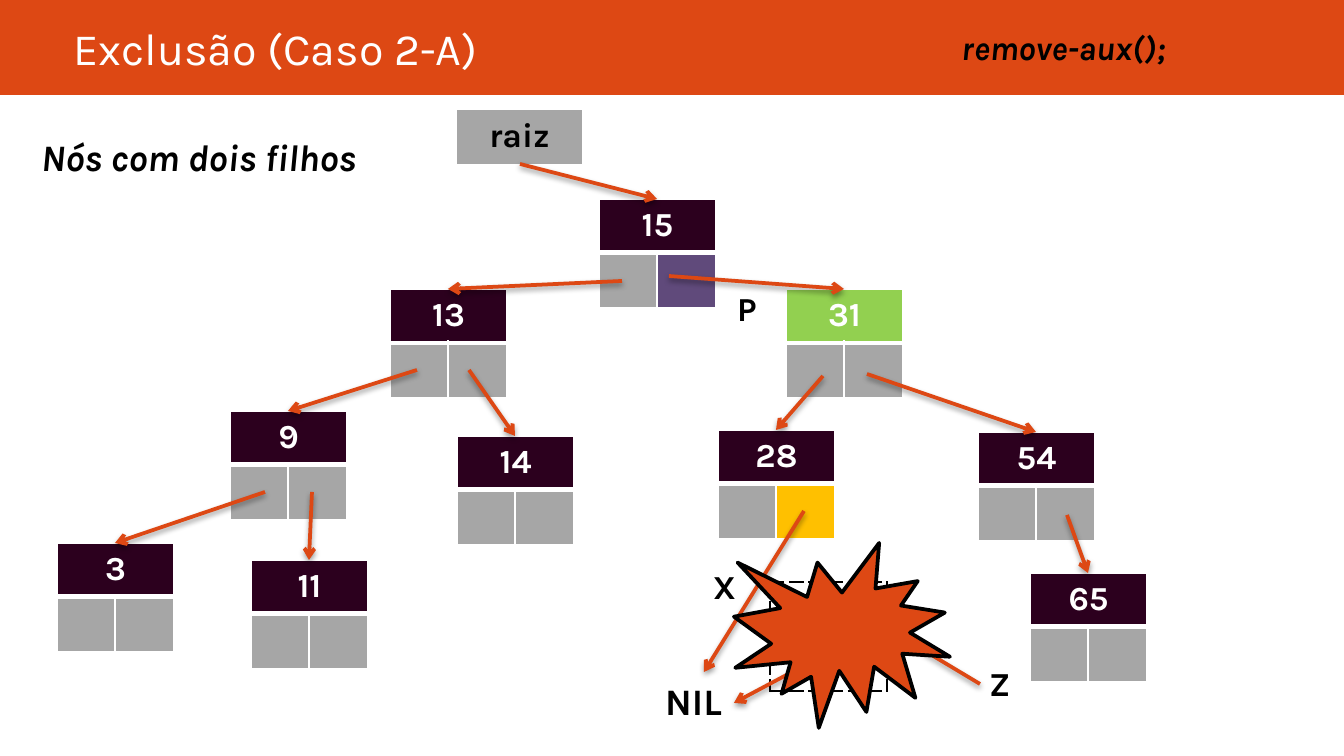
import pptx
import pptx.util
import pptx.dml.color
import pptx.enum.shapes
import pptx.enum.text
import pptx.oxml
import pptx.oxml.ns

Pt = pptx.util.Pt
FONT = "Karla"
COLORS = {"orange": "DD4814", "dark": "2C001E", "gray": "A6A6A6", "green": "92D050",
          "purple": "604A7B", "yellow": "FFC000", "white": "FFFFFF", "black": "000000"}

# Content: lengths in px
W, H = 1344, 756
BAND_H = 95
CELL_W, CELL_H = (58, 59), 54
TITLE = "Exclusão (Caso 2-A)"

# value: (left, top, head, left link, right link)
NODES = {
    "15": (599, 199, "dark", "gray", "purple"),
    "13": (390, 289, "dark", "gray", "gray"),
    "31": (786, 289, "green", "gray", "gray"),
    "9": (230, 411, "dark", "gray", "gray"),
    "14": (457, 436, "dark", "gray", "gray"),
    "28": (718, 430, "dark", "gray", "yellow"),
    "54": (978, 432, "dark", "gray", "gray"),
    "3": (57, 543, "dark", "gray", "gray"),
    "11": (251, 560, "dark", "gray", "gray"),
    "65": (1030, 573, "dark", "gray", "gray"),
}
REMOVED = (770, 582)
ROOT = ("raiz", 457, 110, 125)

# start point, and the node pointed at
LINKS = [
    (520, 164, "15"), (622, 281, "13"), (669, 276, "31"), (417, 370, "9"),
    (469, 370, "14"), (823, 376, "28"), (867, 374, "54"), (265, 492, "3"),
    (312, 492, "11"), (1067, 515, "65"),
]
# arrows that point at no node: start, end
LOOSE_ARROWS = [(804, 511, 704, 672), (794, 671, 734, 703), (980, 684, 863, 614)]

# text, left, top, width, height, size, italic
LABELS = [
    ("Nós com dois filhos", 28, 109, 403, 95, 20, True),
    ("remove-aux();", 948, 20, 351, 54, 18, True),
    ("P", 724, 281, 48, 54, 18, False),
    ("X", 700, 559, 48, 54, 18, False),
    ("NIL", 652, 672, 105, 58, 20, False),
    ("Z", 976, 656, 48, 54, 18, False),
]
SEAL = (734, 543, 216, 185)

NO_STYLE = "{2D5ABB26-0587-4C30-8999-92F81FD0307C}"
NS = pptx.oxml.ns.nsdecls("a")
SHADOW = (f'<a:effectLst {NS}><a:outerShdw blurRad="39370" dist="20320" dir="5400000" '
          'rotWithShape="0"><a:srgbClr val="000000"><a:alpha val="38000"/></a:srgbClr>'
          '</a:outerShdw></a:effectLst>')


def px(n):
    return round(n * 914400 * 10 / W)


def rgb(name):
    return pptx.dml.color.RGBColor.from_string(COLORS[name])


def paint(fill, name):
    fill.solid()
    fill.fore_color.rgb = rgb(name)


def write(tf, text, size, color, bold=True, italic=False, align=None):
    tf.text = text
    p = tf.paragraphs[0]
    p.alignment = align
    font = p.runs[0].font
    font.name, font.size, font.bold, font.italic = FONT, Pt(size), bold, italic
    font.color.rgb = rgb(color)


def border(cell, color, dash="solid", bottom=1):
    tc_pr = cell._tc.get_or_add_tcPr()
    for i, side in enumerate("LRTB"):
        width = Pt(bottom if side == "B" else 1)
        tc_pr.insert(i, pptx.oxml.parse_xml(
            f'<a:ln{side} {NS} w="{width}"><a:solidFill><a:srgbClr val="{COLORS[color]}"/>'
            f'</a:solidFill><a:prstDash val="{dash}"/></a:ln{side}>'))


def add_grid(s, x, y, widths, rows):
    frame = s.shapes.add_table(rows, len(widths), px(x), px(y),
                               px(sum(widths)), px(CELL_H * rows))
    table = frame.table
    table.first_row = table.horz_banding = False
    table._tbl.tblPr.find(pptx.oxml.ns.qn("a:tableStyleId")).text = NO_STYLE
    for col, width in zip(table.columns, widths):
        col.width = px(width)
    for row in table.rows:
        row.height = px(CELL_H)
    return table


def add_node(s, x, y, value=None, fills=(), line="white", dash="solid", divider=3):
    table = add_grid(s, x, y, CELL_W, 2)
    table.cell(0, 0).merge(table.cell(0, 1))
    if fills:
        head, left, right = fills
        for cell, color in zip(table.iter_cells(), (head, head, left, right)):
            paint(cell.fill, color)
    if value:
        write(table.cell(0, 0).text_frame, value, 18, "white",
              align=pptx.enum.text.PP_ALIGN.CENTER)
    for i, cell in enumerate(table.iter_cells()):
        border(cell, line, dash, divider if i < 2 else 1)


def add_arrow(s, x1, y1, x2, y2):
    c = s.shapes.add_connector(pptx.enum.shapes.MSO_CONNECTOR.STRAIGHT,
                               px(x1), px(y1), px(x2), px(y2))
    c.line.color.rgb = rgb("orange")
    c.line.width = Pt(2)
    c.line._get_or_add_ln().append(pptx.oxml.parse_xml(f'<a:tailEnd {NS} type="arrow"/>'))
    c._element.spPr.append(pptx.oxml.parse_xml(SHADOW))


def add_box(s, kind, x, y, w, h):
    sp = s.shapes.add_shape(kind, px(x), px(y), px(w), px(h))
    sp.shadow.inherit = False
    paint(sp.fill, "orange")
    return sp


def main():
    prs = pptx.Presentation()
    prs.slide_width, prs.slide_height = px(W), px(H)
    s = prs.slides.add_slide(prs.slide_layouts[5])
    shape_kind = pptx.enum.shapes.MSO_SHAPE
    middle = pptx.enum.text.MSO_ANCHOR.MIDDLE

    # Header band, behind the title
    band = add_box(s, shape_kind.RECTANGLE, 0, 0, W, BAND_H)
    band.line.fill.background()
    s.shapes._spTree.insert(2, band._element)
    title = s.shapes.title
    title.left, title.top, title.width, title.height = px(60), 0, px(1216), px(BAND_H)
    title.text_frame.vertical_anchor = middle
    write(title.text_frame, TITLE, 24, "white", bold=False,
          align=pptx.enum.text.PP_ALIGN.LEFT)

    # Tree nodes
    for value, (x, y, *fills) in NODES.items():
        add_node(s, x, y, value, fills)
    add_node(s, *REMOVED, line="black", dash="sysDash", divider=1)
    text, x, y, w = ROOT
    root = add_grid(s, x, y, [w], 1).cell(0, 0)
    paint(root.fill, "gray")
    write(root.text_frame, text, 18, "black", align=pptx.enum.text.PP_ALIGN.CENTER)

    # Links end at the top centre of their node
    for x, y, target in LINKS:
        left, top = NODES[target][:2]
        add_arrow(s, x, y, left + CELL_W[0], top)
    for arrow in LOOSE_ARROWS:
        add_arrow(s, *arrow)

    # Labels
    for text, x, y, w, h, size, italic in LABELS:
        tf = s.shapes.add_textbox(px(x), px(y), px(w), px(h)).text_frame
        tf.word_wrap = True
        tf.vertical_anchor = middle
        write(tf, text, size, "black", italic=italic)

    # Burst over the removed node
    seal = add_box(s, shape_kind.EXPLOSION1, *SEAL)
    seal.line.color.rgb = rgb("black")
    seal.line.width = Pt(2)

    prs.save("out.pptx")


if __name__ == "__main__":
    main()
